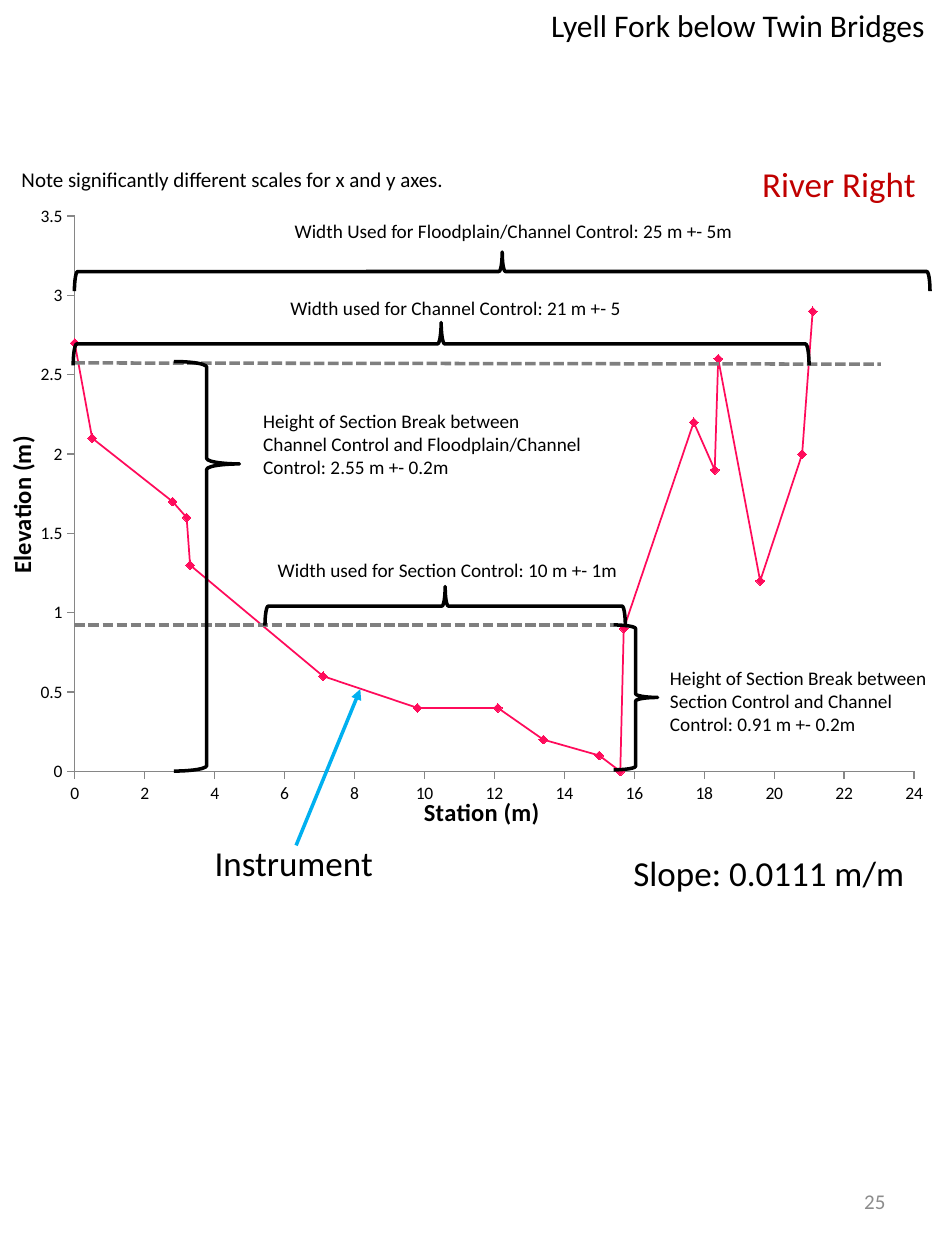
from typing import NamedTuple, Optional

from lxml import etree
from pptx import Presentation
from pptx.chart.data import XyChartData
from pptx.dml.color import RGBColor
from pptx.enum.chart import XL_CHART_TYPE, XL_MARKER_STYLE, XL_TICK_MARK
from pptx.enum.dml import MSO_LINE
from pptx.enum.shapes import MSO_CONNECTOR, MSO_SHAPE
from pptx.enum.text import MSO_ANCHOR, PP_ALIGN
from pptx.oxml.ns import qn
from pptx.util import Pt

SCATTER = XL_CHART_TYPE.XY_SCATTER_LINES
DIAMOND = XL_MARKER_STYLE.DIAMOND
TICK_OUT, TICK_NONE = XL_TICK_MARK.OUTSIDE, XL_TICK_MARK.NONE
DASH = MSO_LINE.SQUARE_DOT
STRAIGHT = MSO_CONNECTOR.STRAIGHT
BRACE = MSO_SHAPE.LEFT_BRACE
TOP, MIDDLE = MSO_ANCHOR.TOP, MSO_ANCHOR.MIDDLE
LEFT, RIGHT = PP_ALIGN.LEFT, PP_ALIGN.RIGHT

BLACK = RGBColor(0x00, 0x00, 0x00)
WHITE = RGBColor(0xFF, 0xFF, 0xFF)
GRAY = RGBColor(0x7F, 0x7F, 0x7F)
PAGE_GRAY = RGBColor(0x8C, 0x8C, 0x8C)
AXIS_GRAY = RGBColor(0x86, 0x86, 0x86)
RED = RGBColor(0xC0, 0x00, 0x00)
PINK = RGBColor(0xFF, 0x0B, 0x5B)
BLUE = RGBColor(0x00, 0xB0, 0xF0)
FONT = "Calibri"


class Label(NamedTuple):
    text: str
    x: float
    y: float
    w: float
    h: float
    size: float = 11
    color: RGBColor = BLACK
    align: PP_ALIGN = LEFT
    anchor: MSO_ANCHOR = TOP
    fill: Optional[RGBColor] = None


class Brace(NamedTuple):
    x: float
    y: float
    w: float
    h: float
    rotation: float
    tip: float = 0.5


class Line(NamedTuple):
    x1: float
    y1: float
    x2: float
    y2: float
    color: RGBColor = GRAY
    dashed: bool = True
    arrow: bool = False


# Station and elevation of each surveyed point, in metres
PROFILE = [
    (0, 2.7), (0.5, 2.1), (2.8, 1.7), (3.2, 1.6), (3.3, 1.3), (7.1, 0.6),
    (9.8, 0.4), (12.1, 0.4), (13.4, 0.2), (15, 0.1), (15.6, 0), (15.7, 0.9),
    (17.7, 2.2), (18.3, 1.9), (18.4, 2.6), (19.6, 1.2), (20.8, 2), (21.1, 2.9),
]
CHART_W, CHART_H = 540, 366.5
PLOT_X, PLOT_Y, PLOT_W, PLOT_H = 42.7, 12.8, 479.7, 317.4

LINES = [
    Line(42.5, 357.1, 350.6, 357.1),
    Line(42.5, 207.4, 503.3, 208.1),
    Line(169.2, 483.1, 205.9, 393.8, BLUE, dashed=False, arrow=True),
]
BRACES = [
    Brace(350.6, 357.1, 25.2, 82.8, 180),
    Brace(99.4, 206.6, 37.4, 234, 180, tip=0.75),
    Brace(239.8, -13.7, 24.5, 420.5, 90),
    Brace(275.8, -89.3, 22.3, 488.9, 90),
    Brace(243.2, 243.4, 22.3, 205.9, 90),
]
LABELS = [
    Label("Height of Section Break between Channel Control and Floodplain/Channel "
          "Control: 2.55 m +- 0.2m", 143.3, 230.4, 198.7, 46.8),
    Label("Height of Section Break between Section Control and Channel "
          "Control: 0.91 m +- 0.2m", 375.8, 377.3, 163.4, 55.4),
    Label("Width used for Channel Control: 21 m +- 5", 158.8, 166, 208.1, 20.2),
    Label("Width Used for Floodplain/Channel Control: 25 m +- 5m", 161.3, 121.7, 267.1, 21.6),
    Label("Width used for Section Control: 10 m +- 1m", 151.6, 315.4, 217.4, 31),
    Label("Slope: 0.0111 m/m", 354.8, 483.1, 173.5, 31.7, 20),
    Label("River Right", 428.4, 89.3, 111.6, 31.7, 20, RED),
    Label("Instrument", 115.6, 477.4, 129.6, 31.7, 20),
    Label("Lyell Fork below Twin Bridges", 307.8, 0, 231.1, 28.8, 18, fill=WHITE),
    Label("25", 387, 667.4, 126, 38.2, 12, PAGE_GRAY, RIGHT, MIDDLE),
    Label("Note significantly different scales for x and y axes.", 5.2, 91.4, 262.8, 21.6, 12),
]


def style_axis(axis, title: str, maximum: float, step: float) -> None:
    axis.minimum_scale, axis.maximum_scale, axis.major_unit = 0, maximum, step
    axis.has_major_gridlines = False
    axis.major_tick_mark, axis.minor_tick_mark = TICK_OUT, TICK_NONE
    axis.format.line.color.rgb = AXIS_GRAY
    axis.format.line.width = Pt(0.75)
    tf = axis.axis_title.text_frame
    tf.text = title
    font = tf.paragraphs[0].font
    font.name, font.size, font.bold = FONT, Pt(14), True
    font.color.rgb = BLACK


def place_plot_area(chart) -> None:
    area = chart.element.find(".//" + qn("c:plotArea"))
    for old in area.findall(qn("c:layout")):
        area.remove(old)
    layout = etree.Element(qn("c:layout"))
    manual = etree.SubElement(layout, qn("c:manualLayout"))
    settings = {
        "layoutTarget": "inner", "xMode": "edge", "yMode": "edge",
        "x": PLOT_X / CHART_W, "y": PLOT_Y / CHART_H,
        "w": PLOT_W / CHART_W, "h": PLOT_H / CHART_H,
    }
    for tag, value in settings.items():
        etree.SubElement(manual, qn(f"c:{tag}")).set("val", str(value))
    area.insert(0, layout)


def add_profile_chart(s) -> None:
    data = XyChartData()
    series_data = data.add_series("Series 1")
    for station, elevation in PROFILE:
        series_data.add_data_point(station, elevation)
    chart = s.shapes.add_chart(
        SCATTER, Pt(0), Pt(110.7), Pt(CHART_W), Pt(CHART_H), data).chart
    chart.has_legend = chart.has_title = False
    chart.font.name, chart.font.size = FONT, Pt(10)
    chart.font.color.rgb = BLACK
    style_axis(chart.category_axis, "Station (m)", 24, 2)
    style_axis(chart.value_axis, "Elevation (m)", 3.5, 0.5)
    place_plot_area(chart)
    plot = chart.plots[0]
    plot.vary_by_categories = False
    series = plot.series[0]
    series.smooth = False
    series.format.line.color.rgb = PINK
    series.format.line.width = Pt(1)
    marker = series.marker
    marker.style, marker.size = DIAMOND, 5
    marker.format.fill.solid()
    marker.format.fill.fore_color.rgb = PINK
    marker.format.line.color.rgb = PINK


def add_line(s, line: Line) -> None:
    sp = s.shapes.add_connector(STRAIGHT, Pt(line.x1), Pt(line.y1), Pt(line.x2), Pt(line.y2))
    sp.line.color.rgb = line.color
    sp.line.width = Pt(2)
    if line.dashed:
        sp.line.dash_style = DASH
    props = sp.element.spPr
    if line.arrow:
        etree.SubElement(props.find(qn("a:ln")), qn("a:tailEnd")).set("type", "triangle")
    etree.SubElement(props, qn("a:effectLst"))


def add_brace(s, brace: Brace) -> None:
    sp = s.shapes.add_shape(BRACE, Pt(brace.x), Pt(brace.y), Pt(brace.w), Pt(brace.h))
    sp.rotation = brace.rotation
    sp.adjustments[1] = brace.tip
    sp.shadow.inherit = False
    sp.fill.background()
    sp.line.color.rgb = BLACK
    sp.line.width = Pt(2)


def add_label(s, label: Label) -> None:
    sp = s.shapes.add_textbox(Pt(label.x), Pt(label.y), Pt(label.w), Pt(label.h))
    if label.fill is not None:
        sp.fill.solid()
        sp.fill.fore_color.rgb = label.fill
    tf = sp.text_frame
    tf.word_wrap = True
    tf.vertical_anchor = label.anchor
    p = tf.paragraphs[0]
    p.text, p.alignment = label.text, label.align
    p.font.name, p.font.size = FONT, Pt(label.size)
    p.font.color.rgb = label.color


def main() -> None:
    prs = Presentation()
    prs.slide_width, prs.slide_height = Pt(540), Pt(720)
    s = prs.slides.add_slide(prs.slide_layouts[6])

    # Cross-section profile
    add_profile_chart(s)

    # Control levels, dimension braces and instrument arrow
    for line in LINES:
        add_line(s, line)
    for brace in BRACES:
        add_brace(s, brace)

    # Title, notes and dimension labels
    for label in LABELS:
        add_label(s, label)

    prs.save("out.pptx")


if __name__ == "__main__":
    main()
